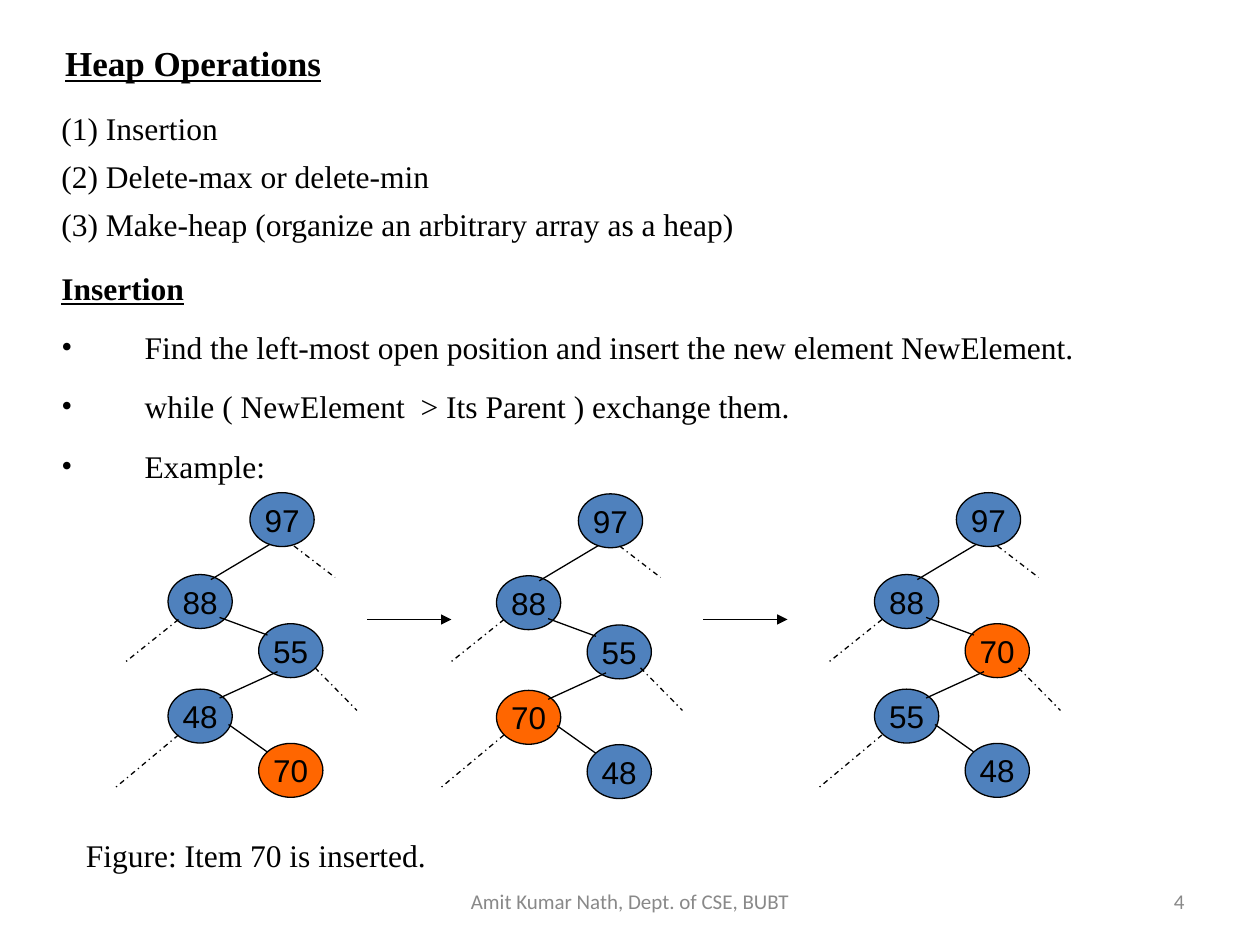
import pptx
import pptx.dml.color
import pptx.enum.dml
import pptx.enum.shapes
import pptx.enum.text
import pptx.oxml
import pptx.oxml.ns
import pptx.util
from pptx.util import Pt

RGBColor = pptx.dml.color.RGBColor
ALIGN = pptx.enum.text.PP_ALIGN
ANCHOR = pptx.enum.text.MSO_ANCHOR

BLACK = RGBColor(0x00, 0x00, 0x00)
GRAY = RGBColor(0x89, 0x89, 0x89)
BLUE = RGBColor(0x4F, 0x81, 0xBD)
ORANGE = RGBColor(0xFF, 0x66, 0x00)
SERIF = "Times New Roman"

HANGING = 47.5
NODE_WIDTH, NODE_HEIGHT = 36.7, 30.8
NEW_ITEM = "70"
NODE_OFFSETS = [(46.8, 0), (0, 46.8), (51.8, 74.9), (0, 112.3), (51.8, 143.3)]
EDGES = [
    (58.3, 29.5, 24.5, 49.7),
    (29.5, 71.3, 56.9, 81.4),
    (62.6, 102.3, 29.5, 117.4),
    (34.6, 132.5, 56.9, 148.3),
]
OPEN_BRANCHES = [
    (72, 312, 95.5, 330),
    (84, 381.6, 108, 406),
    (6, 354, -24, 378),
    (6, 420, -30, 450),
]
TREES = [
    (96, 281.5, 96, ["97", "88", "55", "48", "70"]),
    (283.7, 282.2, 282, ["97", "88", "55", "70", "48"]),
    (499.7, 281.5, 498, ["97", "88", "70", "55", "48"]),
]
OPERATIONS = [
    "(1) Insertion",
    "(2) Delete-max or delete-min",
    "(3) Make-heap (organize an arbitrary array as a heap)",
]
STEPS = [
    "Find the left-most open position and insert the new element NewElement.",
    "while ( NewElement  > Its Parent ) exchange them.",
    "Example:",
]


def xml_element(tag, **attributes):
    element = pptx.oxml.parse_xml(f"<{tag} {pptx.oxml.ns.nsdecls('a')}/>")
    for name, value in attributes.items():
        element.set(name, value)
    return element


def write_text(paragraph, text, font=SERIF, size=18, color=BLACK, heading=False,
               align=ALIGN.LEFT, before=0, bullet=False):
    if bullet:
        properties = paragraph._p.get_or_add_pPr()
        properties.set("marL", str(Pt(HANGING)))
        properties.set("indent", str(-Pt(HANGING)))
        properties.append(xml_element("a:buFont", typeface=SERIF))
        properties.append(xml_element("a:buChar", char="•"))
    paragraph.alignment = align
    paragraph.space_before = Pt(before)
    run = paragraph.add_run()
    run.text = text
    run.font.name = font
    run.font.size = Pt(size)
    run.font.color.rgb = color
    run.font.bold = heading
    run.font.underline = heading


def add_text_box(slide, left, top, width, height, anchor=ANCHOR.TOP):
    shape = slide.shapes.add_textbox(Pt(left), Pt(top), Pt(width), Pt(height))
    shape.text_frame.word_wrap = True
    shape.text_frame.vertical_anchor = anchor
    return shape.text_frame


def add_title(slide, text):
    title = slide.shapes.title
    title.left, title.top, title.width, title.height = Pt(30), Pt(18), Pt(612), Pt(36)
    title.text_frame.auto_size = pptx.enum.text.MSO_AUTO_SIZE.NONE
    title.text_frame.vertical_anchor = ANCHOR.MIDDLE
    write_text(title.text_frame.paragraphs[0], text, size=20, heading=True)


def add_body(slide):
    frame = add_text_box(slide, 28, 59, 672, 210)
    for index, operation in enumerate(OPERATIONS):
        paragraph = frame.add_paragraph() if index else frame.paragraphs[0]
        write_text(paragraph, operation, before=5.6 if index else 0)
    write_text(frame.add_paragraph(), "Insertion", heading=True, before=15.3)
    for step in STEPS:
        write_text(frame.add_paragraph(), step, before=12.2, bullet=True)


def add_line(shapes, x1, y1, x2, y2, dashed=False, arrow=False):
    line = shapes.add_connector(pptx.enum.shapes.MSO_CONNECTOR.STRAIGHT,
                                Pt(x1), Pt(y1), Pt(x2), Pt(y2))
    line.line.color.rgb = BLACK
    line.line.width = Pt(0.75)
    if dashed:
        line.line.dash_style = pptx.enum.dml.MSO_LINE.DASH_DOT
    if arrow:
        line.line._get_or_add_ln().append(xml_element("a:tailEnd", type="triangle"))
    line._element.spPr.append(xml_element("a:effectLst"))


def add_node(shapes, left, top, value):
    node = shapes.add_shape(pptx.enum.shapes.MSO_SHAPE.OVAL, Pt(left), Pt(top),
                            Pt(NODE_WIDTH), Pt(NODE_HEIGHT))
    node.shadow.inherit = False
    node.fill.solid()
    node.fill.fore_color.rgb = ORANGE if value == NEW_ITEM else BLUE
    node.line.color.rgb = BLACK
    node.line.width = Pt(0.75)
    node.text_frame.word_wrap = False
    node.text_frame.vertical_anchor = ANCHOR.MIDDLE
    write_text(node.text_frame.paragraphs[0], value, font="Arial", align=ALIGN.CENTER)


def add_tree(slide, left, top, open_left, values):
    shapes = slide.shapes.add_group_shape().shapes
    for (x, y), value in zip(NODE_OFFSETS, values):
        add_node(shapes, left + x, top + y, value)
    for x1, y1, x2, y2 in EDGES:
        add_line(shapes, left + x1, top + y1, left + x2, top + y2)
    for x1, y1, x2, y2 in OPEN_BRANCHES:
        add_line(shapes, open_left + x1, y1, open_left + x2, y2, dashed=True)


def add_footer(slide, left, width, text, align):
    frame = add_text_box(slide, left, 500.5, width, 28.8, anchor=ANCHOR.MIDDLE)
    write_text(frame.paragraphs[0], text, font="Calibri", size=12, color=GRAY, align=align)


def main():
    presentation = pptx.Presentation()
    presentation.slide_width, presentation.slide_height = Pt(720), Pt(540)
    slide = presentation.slides.add_slide(presentation.slide_layouts[5])
    add_title(slide, "Heap Operations")
    add_body(slide)
    caption = add_text_box(slide, 42, 474, 252, 29)
    write_text(caption.paragraphs[0], "Figure: Item 70 is inserted.")
    for start in (210, 402):
        add_line(slide.shapes, start, 354, start + 48, 354, arrow=True)
    for tree in TREES:
        add_tree(slide, *tree)
    add_footer(slide, 246, 228, "Amit Kumar Nath, Dept. of CSE, BUBT", ALIGN.CENTER)
    add_footer(slide, 516, 168, "4", ALIGN.RIGHT)
    presentation.save("out.pptx")


if __name__ == "__main__":
    main()
